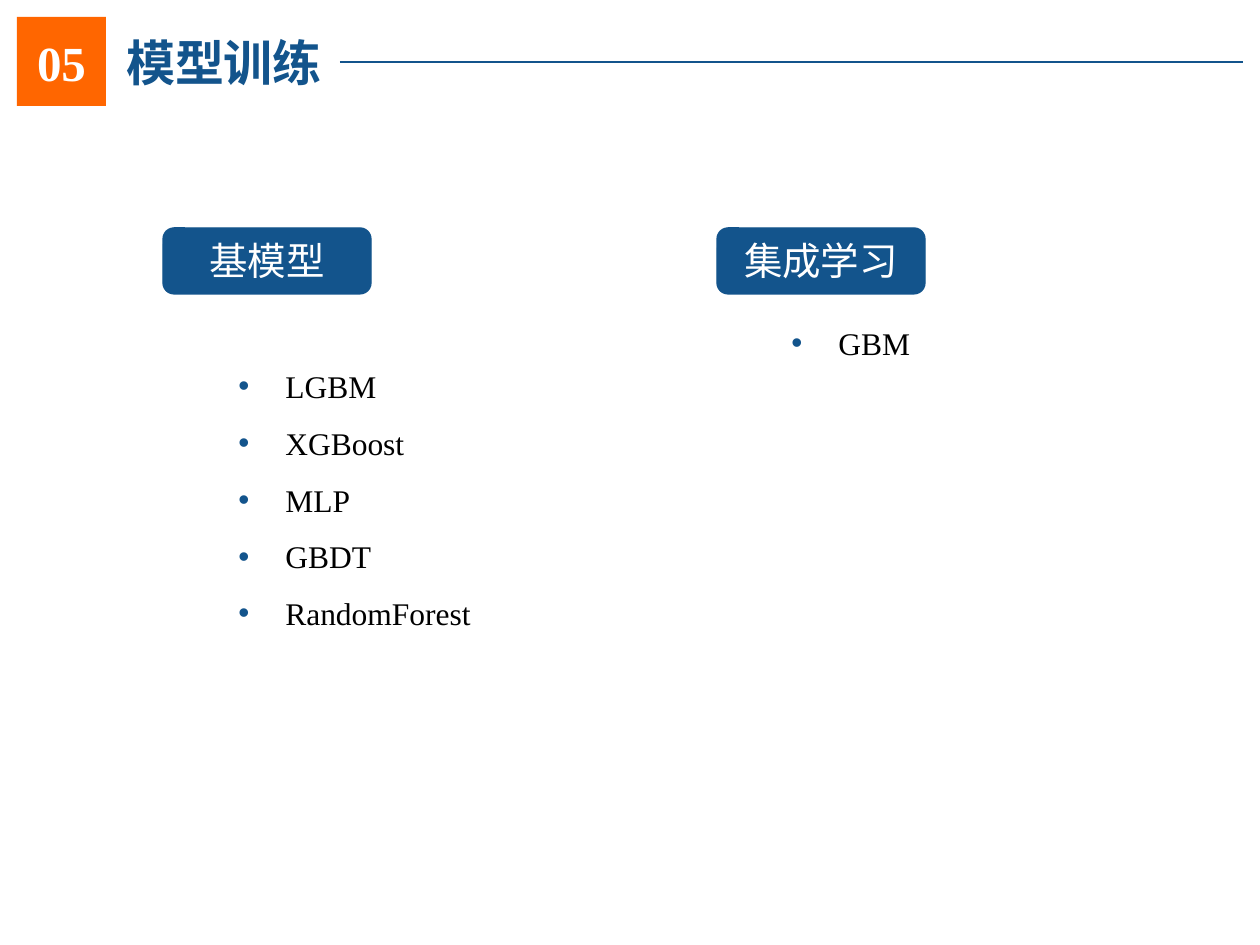
from lxml import etree
from pptx import Presentation
from pptx.dml.color import RGBColor
from pptx.enum.shapes import MSO_CONNECTOR, MSO_SHAPE
from pptx.enum.text import MSO_ANCHOR, MSO_AUTO_SIZE, PP_ALIGN
from pptx.oxml.ns import qn
from pptx.util import Pt

RECTANGLE = MSO_SHAPE.RECTANGLE
ROUNDED = MSO_SHAPE.ROUNDED_RECTANGLE
STRAIGHT = MSO_CONNECTOR.STRAIGHT
TOP, MIDDLE = MSO_ANCHOR.TOP, MSO_ANCHOR.MIDDLE
NO_AUTOSIZE = MSO_AUTO_SIZE.NONE
CENTER, JUSTIFY = PP_ALIGN.CENTER, PP_ALIGN.JUSTIFY

EMU_PER_INCH = 914400
PX_PER_INCH = 126
FONT = "Times New Roman"
COLORS = {"blue": "13548C", "orange": "FF6600", "white": "FFFFFF", "black": "000000"}
BULLET_INDENT = 47
LABEL_TOP = 228

# label, label left, list left, list top, list height, models
GROUPS = [
    ("基模型", 163, 226, 344, 292, ["LGBM", "XGBoost", "MLP", "GBDT", "RandomForest"]),
    ("集成学习", 717, 779, 302, 63, ["GBM"]),
]


def px(length):
    return round(length * EMU_PER_INCH / PX_PER_INCH)


def color(name):
    return RGBColor.from_string(COLORS[name])


def format_paragraph(paragraph, size, color_name, align=CENTER, bold=False):
    paragraph.alignment = align
    for run in paragraph.runs:
        run.font.name = FONT
        run.font.size = Pt(size)
        run.font.bold = bold
        run.font.color.rgb = color(color_name)


def add_title(slide, text):
    title = slide.shapes.title
    title.left, title.top, title.width, title.height = px(108), px(26), px(232), px(71)
    frame = title.text_frame
    frame.text = text
    frame.vertical_anchor = MIDDLE
    frame.auto_size = NO_AUTOSIZE
    frame.margin_top = frame.margin_bottom = px(5)
    format_paragraph(frame.paragraphs[0], 28, "blue", bold=True)


def add_title_rule(slide):
    rule = slide.shapes.add_connector(STRAIGHT, px(340), px(62), px(1243), px(62))
    rule.line.color.rgb = color("blue")
    rule.line.width = Pt(0.75)
    properties = rule._element.spPr
    etree.SubElement(properties, qn("a:effectLst"))


def add_block(slide, preset, box, text, fill, size, anchor=MIDDLE, bold=False):
    block = slide.shapes.add_shape(preset, *map(px, box))
    block.shadow.inherit = False
    block.fill.solid()
    block.fill.fore_color.rgb = color(fill)
    block.line.fill.background()
    frame = block.text_frame
    frame.text = text
    frame.vertical_anchor = anchor
    format_paragraph(frame.paragraphs[0], size, "white", bold=bold)
    return block


def add_group_label(slide, text, left):
    label = add_block(slide, ROUNDED, (left, LABEL_TOP, 208, 66), text, "blue", 22, TOP)
    label.line.color.rgb = color("blue")
    label.line.width = Pt(0.75)


def add_bullet(paragraph):
    properties = paragraph._p.get_or_add_pPr()
    properties.set("marL", str(px(BULLET_INDENT)))
    properties.set("indent", str(-px(BULLET_INDENT)))
    bullet_color = etree.SubElement(properties, qn("a:buClr"))
    etree.SubElement(bullet_color, qn("a:srgbClr"), val=COLORS["blue"])
    etree.SubElement(properties, qn("a:buFont"), typeface="Arial")
    etree.SubElement(properties, qn("a:buChar"), char="•")


def add_model_list(slide, models, left, top, height):
    frame = slide.shapes.add_textbox(px(left), px(top), px(363), px(height)).text_frame
    frame.word_wrap = True
    frame.vertical_anchor = MIDDLE
    frame.text = "\n".join(models)
    for paragraph in frame.paragraphs:
        paragraph.line_spacing = 1.5
        add_bullet(paragraph)
        format_paragraph(paragraph, 18, "black", JUSTIFY)


def main():
    presentation = Presentation()
    presentation.slide_width, presentation.slide_height = px(1260), px(945)
    slide = presentation.slides.add_slide(presentation.slide_layouts[5])

    add_title(slide, "模型训练")
    add_title_rule(slide)
    add_block(slide, RECTANGLE, (17, 17, 89, 89), "05", "orange", 28, bold=True)
    for label, label_left, list_left, list_top, list_height, models in GROUPS:
        add_group_label(slide, label, label_left)
        add_model_list(slide, models, list_left, list_top, list_height)

    presentation.save("out.pptx")


if __name__ == "__main__":
    main()
